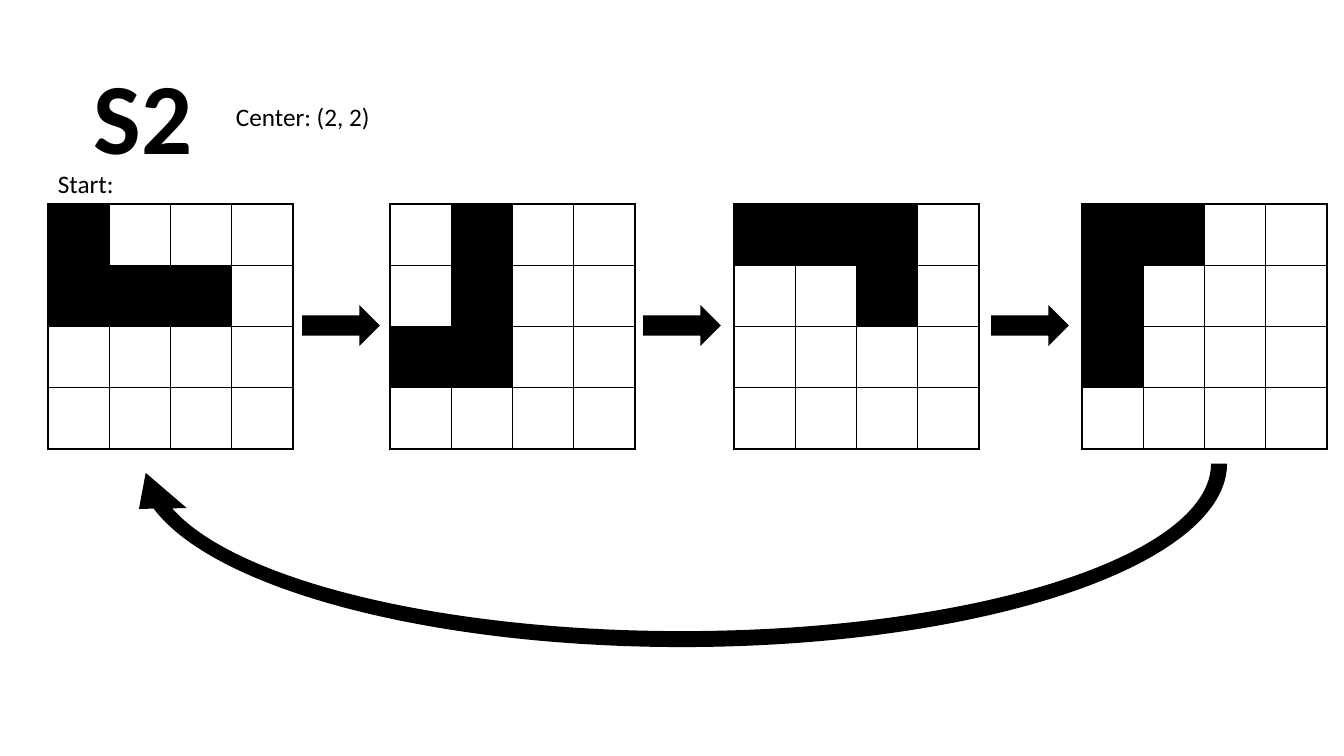
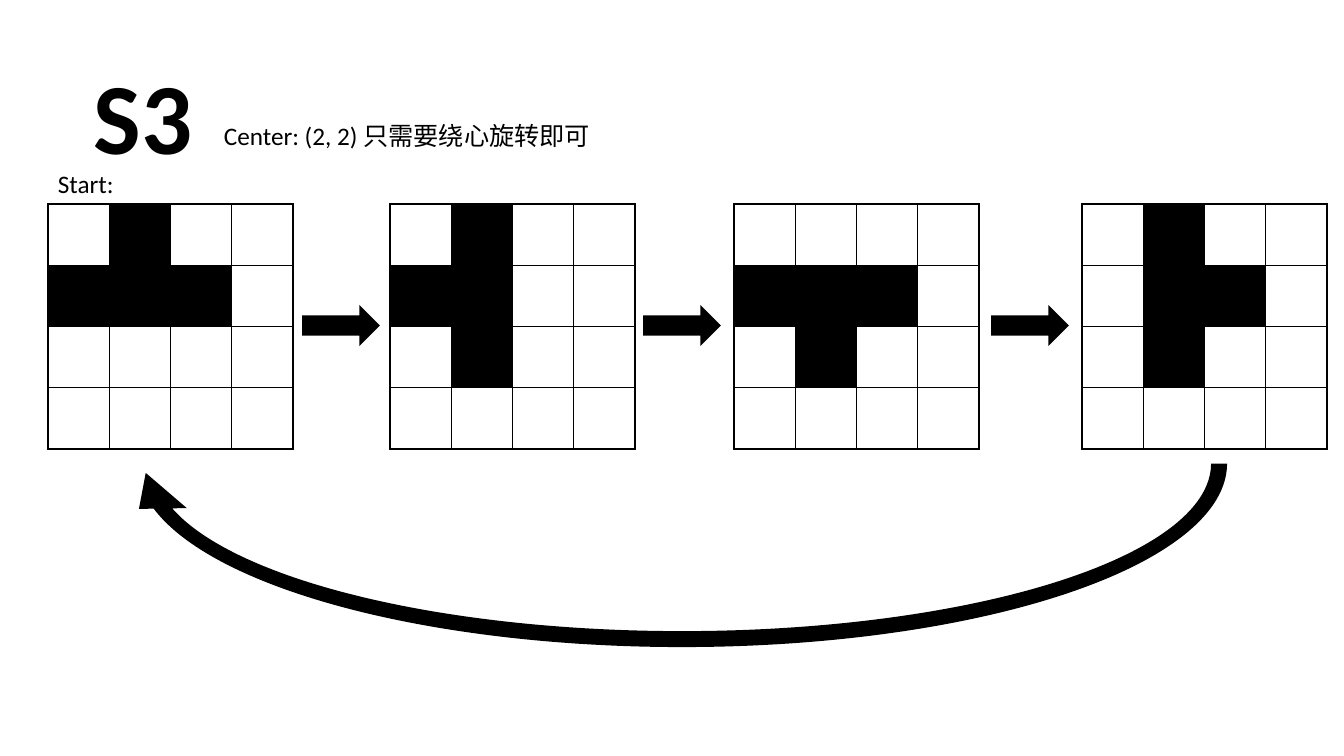
from lxml import etree
from pptx import Presentation
from pptx.dml.color import RGBColor
from pptx.enum.shapes import MSO_SHAPE
from pptx.enum.text import MSO_ANCHOR, MSO_AUTO_SIZE, PP_ALIGN
from pptx.oxml.ns import qn
from pptx.util import Pt

RIGHT_ARROW, CIRCULAR_ARROW = MSO_SHAPE.RIGHT_ARROW, MSO_SHAPE.CIRCULAR_ARROW
LEFT, CENTER = PP_ALIGN.LEFT, PP_ALIGN.CENTER
TOP, NO_FIT = MSO_ANCHOR.TOP, MSO_AUTO_SIZE.NONE

# Content: each rotation is four rows of four cells, "#" is a filled cell
PIECES = [
    {"title": "S2", "note": "Center: (2, 2)", "note_box": (226, 96, 164, 40),
     "rotations": [
         ("#...", "###.", "....", "...."),
         (".#..", ".#..", "##..", "...."),
         ("###.", "..#.", "....", "...."),
         ("##..", "#...", "#...", "....")]},
    {"title": "S3", "note": "Center: (2, 2) 只需要绕心旋转即可",
     "note_box": (214, 115, 503, 40),
     "rotations": [
         (".#..", "###.", "....", "...."),
         (".#..", "##..", ".#..", "...."),
         ("....", "###.", ".#..", "...."),
         (".#..", ".##.", ".#..", "....")]},
]

# Shared look, lengths in pixels
COLORS = {"ink": "000000", "paper": "FFFFFF"}
CELL_COLORS = {"#": COLORS["ink"], ".": COLORS["paper"]}
TITLE_FORMAT = {"name": "Calibri", "size": Pt(72), "bold": True}
LABEL_FORMAT = {"name": "Calibri", "size": Pt(18), "bold": False}
TITLE_BOX = (72, 49, 142, 132)
START_BOX = (48, 163, 140, 40)
GRID_LEFTS, GRID_TOP, GRID_SIZE, CELLS = (48, 390, 734, 1082), 204, 245, 4
ARROW_LEFTS, ARROW_SIZE = (302, 643, 991), (78, 41)
RETURN_BOX = (121, 264, 1122, 399)
RETURN_ADJUSTMENTS = (0.04, 2.37, 213.03, 108, 0.06)
BORDER = Pt(1)
EMU_PER_PIXEL = 914400 / 100.8


def px(*lengths):
    return [round(length * EMU_PER_PIXEL) for length in lengths]


def write(box, text, font_format, align=LEFT):
    frame = box.text_frame
    frame.text = text
    frame_format = {"word_wrap": True, "auto_size": NO_FIT, "vertical_anchor": TOP}
    for key, value in frame_format.items():
        setattr(frame, key, value)
    paragraph = frame.paragraphs[0]
    paragraph.alignment = align
    font = paragraph.runs[0].font
    for key, value in font_format.items():
        setattr(font, key, value)
    font.color.rgb = RGBColor.from_string(COLORS["ink"])


def add_label(slide, area, text):
    write(slide.shapes.add_textbox(*px(*area)), text, LABEL_FORMAT)


def add_arrow(slide, preset, area):
    arrow = slide.shapes.add_shape(preset, *px(*area))
    arrow.shadow.inherit = False
    arrow.fill.solid()
    arrow.fill.fore_color.rgb = RGBColor.from_string(COLORS["ink"])
    arrow.line.fill.background()
    return arrow


def add_borders(cell):
    properties = cell._tc.get_or_add_tcPr()
    for position, side in enumerate(("lnL", "lnR", "lnT", "lnB")):
        line = etree.Element(qn(f"a:{side}"), w=str(BORDER))
        fill = etree.SubElement(line, qn("a:solidFill"))
        etree.SubElement(fill, qn("a:srgbClr"), val=COLORS["ink"])
        properties.insert(position, line)


def add_grid(slide, left, rotation):
    area = px(left, GRID_TOP, GRID_SIZE, GRID_SIZE)
    grid = slide.shapes.add_table(CELLS, CELLS, *area).table
    grid.first_row = grid.horz_banding = False
    for r, marks in enumerate(rotation):
        for c, mark in enumerate(marks):
            cell = grid.cell(r, c)
            cell.fill.solid()
            cell.fill.fore_color.rgb = RGBColor.from_string(CELL_COLORS[mark])
            add_borders(cell)


def add_piece(deck, piece):
    slide = deck.slides.add_slide(deck.slide_layouts.get_by_name("Title Only"))

    # Heading and labels
    title = slide.shapes.title
    title.left, title.top, title.width, title.height = px(*TITLE_BOX)
    write(title, piece["title"], TITLE_FORMAT, CENTER)
    add_label(slide, START_BOX, "Start:")
    add_label(slide, piece["note_box"], piece["note"])

    # Rotations, with arrows halfway down the grids
    for left, rotation in zip(GRID_LEFTS, piece["rotations"]):
        add_grid(slide, left, rotation)
    arrow_top = GRID_TOP + (GRID_SIZE - ARROW_SIZE[1]) // 2 - 1
    for left in ARROW_LEFTS:
        add_arrow(slide, RIGHT_ARROW, (left, arrow_top, *ARROW_SIZE))

    # Arrow back to the start
    return_arrow = add_arrow(slide, CIRCULAR_ARROW, RETURN_BOX)
    return_arrow.rotation = 180
    for i, value in enumerate(RETURN_ADJUSTMENTS):
        return_arrow.adjustments[i] = value


deck = Presentation()
deck.slide_width, deck.slide_height = px(1344, 756)
for piece in PIECES:
    add_piece(deck, piece)
deck.save("out.pptx")
